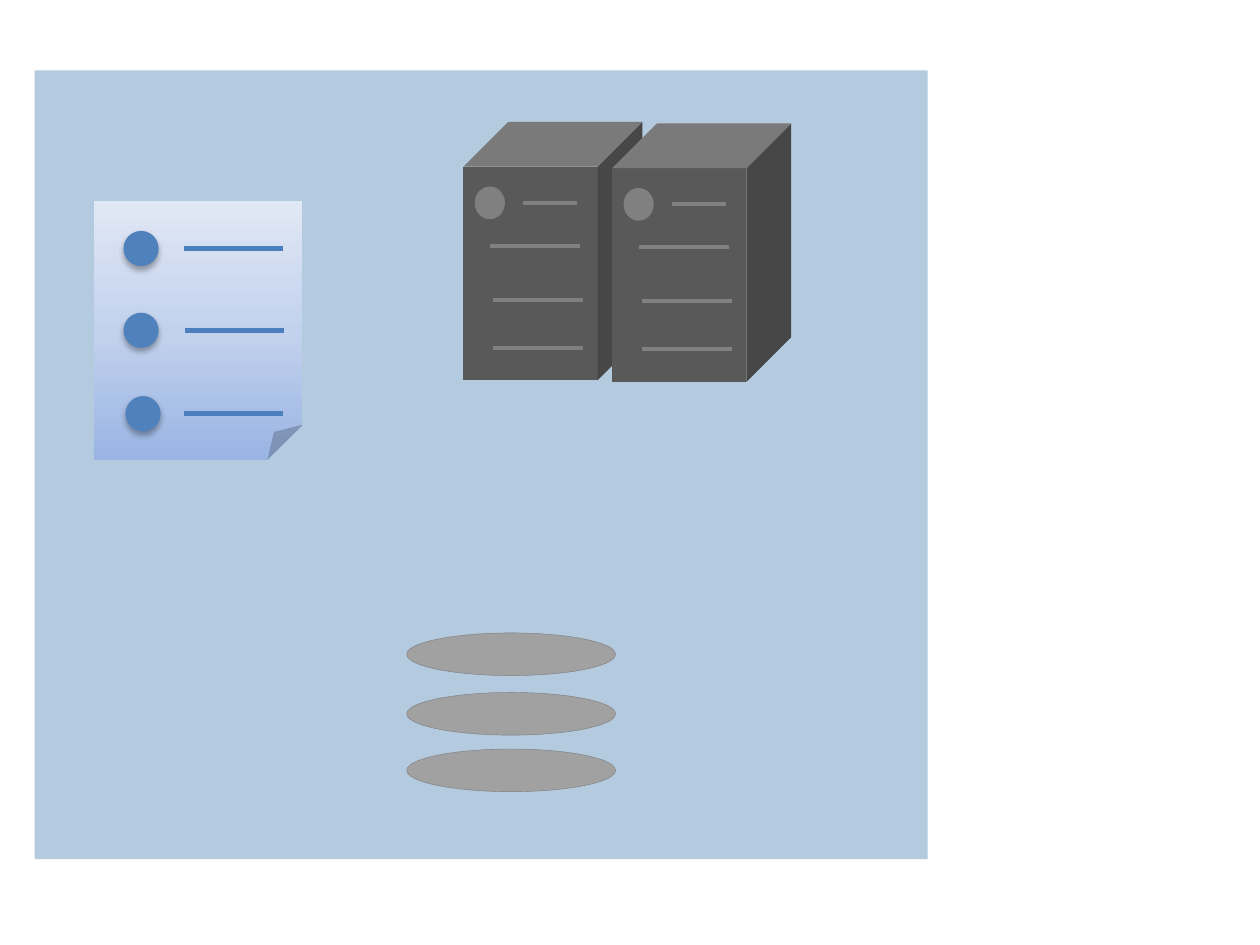
from dataclasses import dataclass

from lxml.etree import SubElement
from pptx import Presentation
from pptx.dml.color import RGBColor as Rgb
from pptx.enum.shapes import MSO_CONNECTOR as Connector, MSO_SHAPE as Shape
from pptx.oxml import parse_xml
from pptx.oxml.ns import nsdecls, qn
from pptx.util import Cm, Pt


@dataclass(frozen=True)
class Theme:
    panel: str = "B3CADF"
    server: str = "595959"
    server_detail: str = "808080"
    bullet: str = "4F81BD"
    text_line: str = "4B7EBC"
    disk: str = "A1A1A1"
    disk_edge: str = "7F7F7F"
    paper: tuple = ((0, "9AB5E4"), (50, "C2D1ED"), (100, "E1E8F5"))
    thin: float = 0.25
    medium: float = 2.25
    thick: float = 3


class Canvas:
    def __init__(self, slide, theme):
        self.slide = slide
        self.theme = theme
        self.shapes = slide.shapes

    def open_group(self):
        """Send the following elements into a new group."""
        self.shapes = self.slide.shapes.add_group_shape().shapes

    def close_group(self):
        self.shapes = self.slide.shapes

    def shape(self, kind, left, top, width, height, color, edge=None):
        shape = self.shapes.add_shape(kind, Cm(left), Cm(top), Cm(width), Cm(height))
        shape.shadow.inherit = False
        shape.fill.solid()
        shape.fill.fore_color.rgb = Rgb.from_string(color)
        if edge:
            shape.line.color.rgb = Rgb.from_string(edge)
            shape.line.width = Pt(self.theme.thin)
        else:
            shape.line.fill.background()
        return shape

    def rule(self, start, end, y, color, width):
        """Draw a horizontal line."""
        line = self.shapes.add_connector(
            Connector.STRAIGHT, Cm(start), Cm(y), Cm(end), Cm(y))
        line.line.color.rgb = Rgb.from_string(color)
        line.line.width = Pt(width)
        SubElement(line._element.spPr, qn("a:effectLst"))

    def gradient(self, shape, stops):
        """Fill a shape from bottom to top."""
        stop_xml = "".join(
            f'<a:gs pos="{position * 1000}"><a:srgbClr val="{color}"/></a:gs>'
            for position, color in stops)
        properties = shape._element.spPr
        properties.replace(properties.find(qn("a:solidFill")), parse_xml(
            f'<a:gradFill {nsdecls("a")} rotWithShape="1"><a:gsLst>{stop_xml}</a:gsLst>'
            '<a:lin ang="16200000" scaled="0"/></a:gradFill>'))

    def drop_shadow(self, shape):
        effects = shape._element.spPr.find(qn("a:effectLst"))
        effects.append(parse_xml(
            f'<a:outerShdw {nsdecls("a")} blurRad="{Pt(3.5)}" dist="{Pt(2.2)}" '
            'dir="5400000" rotWithShape="0"><a:srgbClr val="000000">'
            '<a:alpha val="32000"/></a:srgbClr></a:outerShdw>'))

    def server(self, left, top):
        theme = self.theme
        self.open_group()
        self.shape(Shape.CUBE, left, top, 3.61, 5.21, theme.server)
        self.shape(Shape.FLOWCHART_CONNECTOR, left + 0.23, top + 1.3, 0.61, 0.66,
                   theme.server_detail)
        for start, end, y in ((1.2, 2.29, 1.63), (0.54, 2.35, 2.49),
                              (0.6, 2.42, 3.58), (0.6, 2.42, 4.55)):
            self.rule(left + start, left + end, top + y,
                      theme.server_detail, theme.medium)
        self.close_group()

    def document(self, left, top):
        theme = self.theme
        paper = self.shape(Shape.FOLDED_CORNER, left, top, 4.19, 5.21, theme.bullet)
        self.gradient(paper, theme.paper)
        diameter = 0.71
        for bullet, start, y in ((0.59, 1.8, 0.95), (0.59, 1.83, 2.6),
                                 (0.63, 1.8, 4.28)):
            dot = self.shape(Shape.FLOWCHART_CONNECTOR, left + bullet,
                             top + y - diameter / 2, diameter, diameter, theme.bullet)
            self.drop_shadow(dot)
            self.rule(left + start, left + start + 2, top + y,
                      theme.text_line, theme.thick)

    def disk_stack(self, left, tops):
        self.open_group()
        for top in tops:
            self.shape(Shape.OVAL, left, top, 4.21, 0.86,
                       self.theme.disk, self.theme.disk_edge)
        self.close_group()


def main():
    presentation = Presentation()
    presentation.slide_width, presentation.slide_height = Cm(25.4), Cm(19.05)
    slide = presentation.slides.add_slide(presentation.slide_layouts[6])
    canvas = Canvas(slide, Theme())
    canvas.shape(Shape.RECTANGLE, 0.7, 1.42, 18, 15.9, canvas.theme.panel)
    canvas.server(9.34, 2.46)
    canvas.server(12.34, 2.49)
    canvas.document(1.9, 4.06)
    canvas.disk_stack(8.2, (15.1, 13.96, 12.76))
    presentation.save("out.pptx")


if __name__ == "__main__":
    main()
